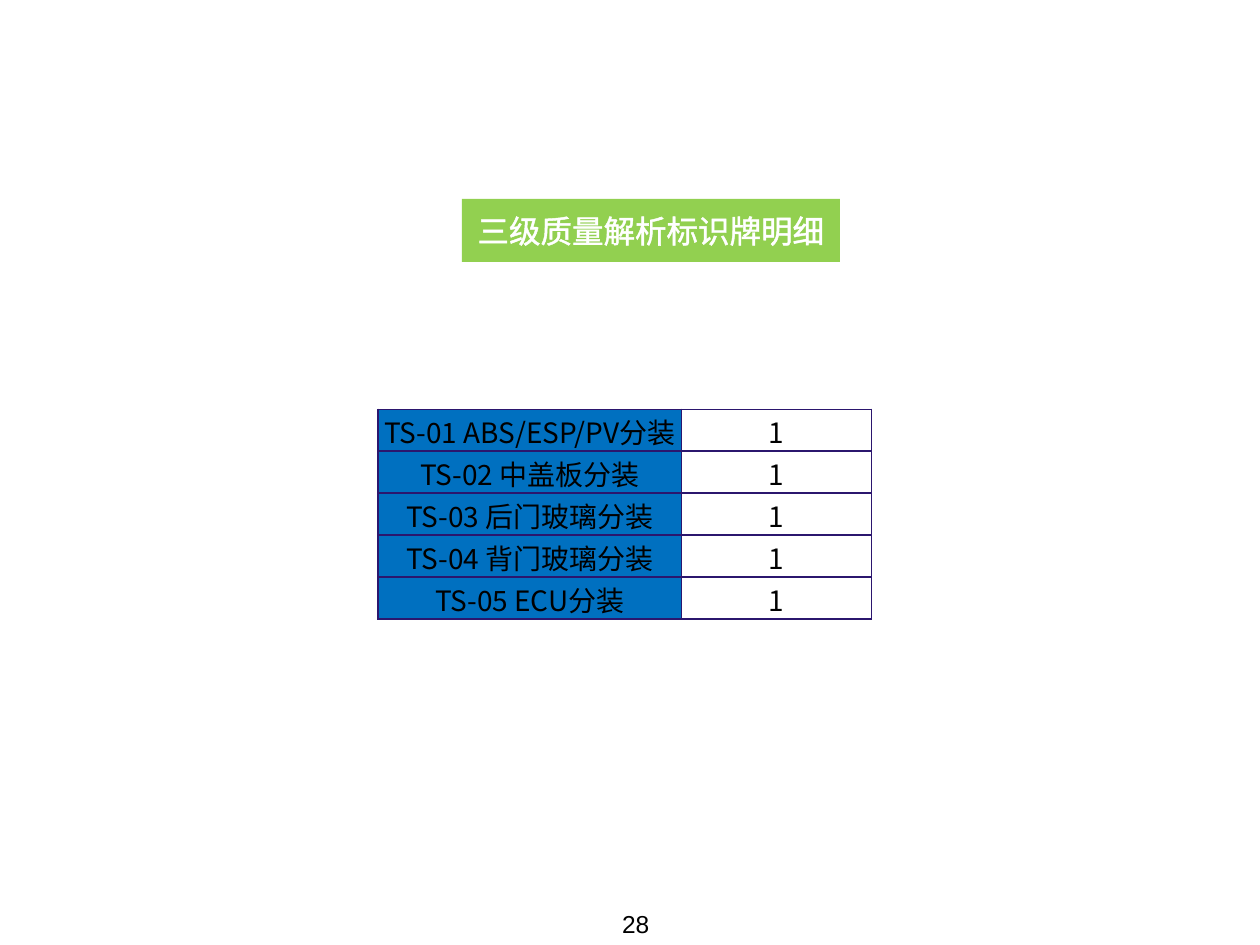
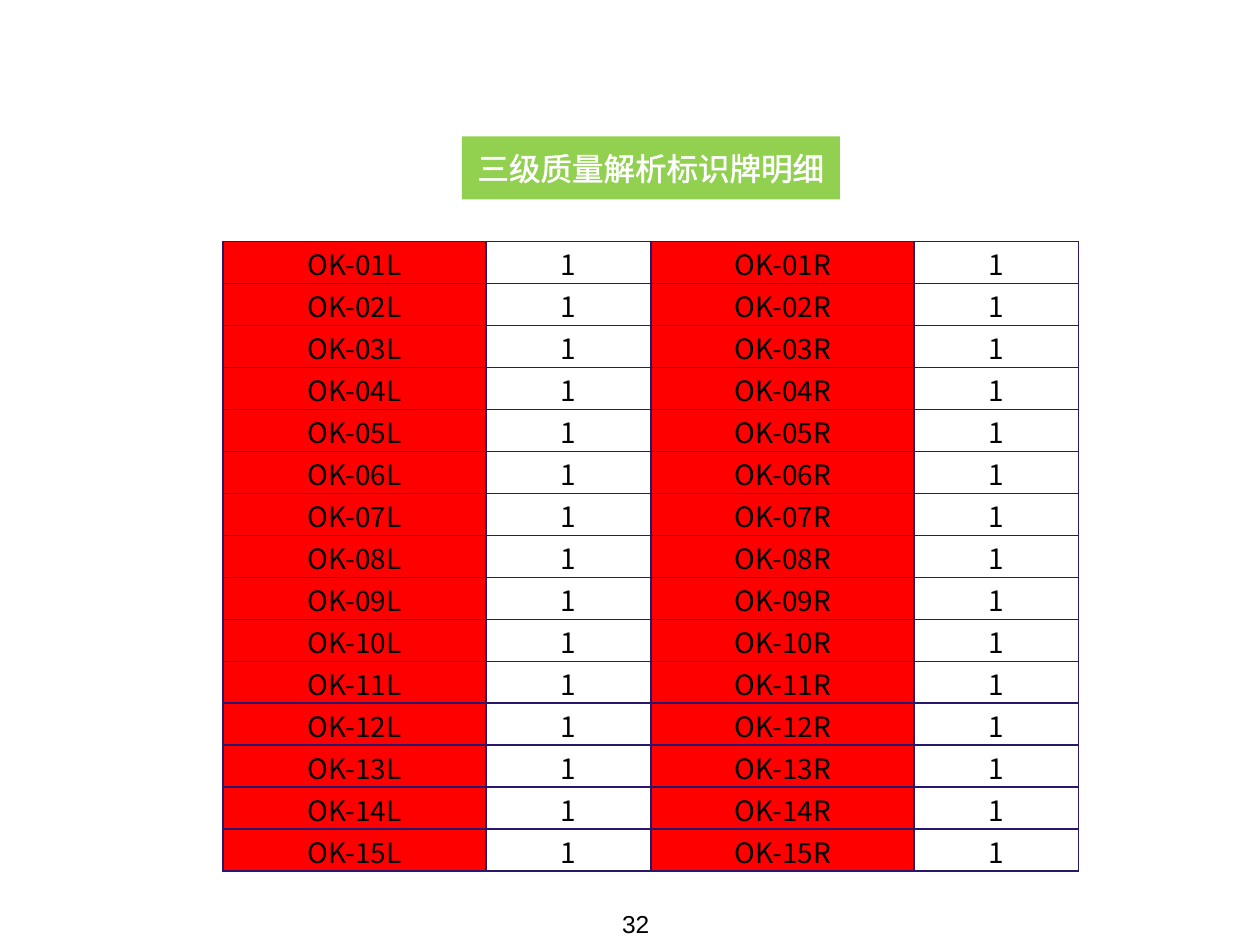
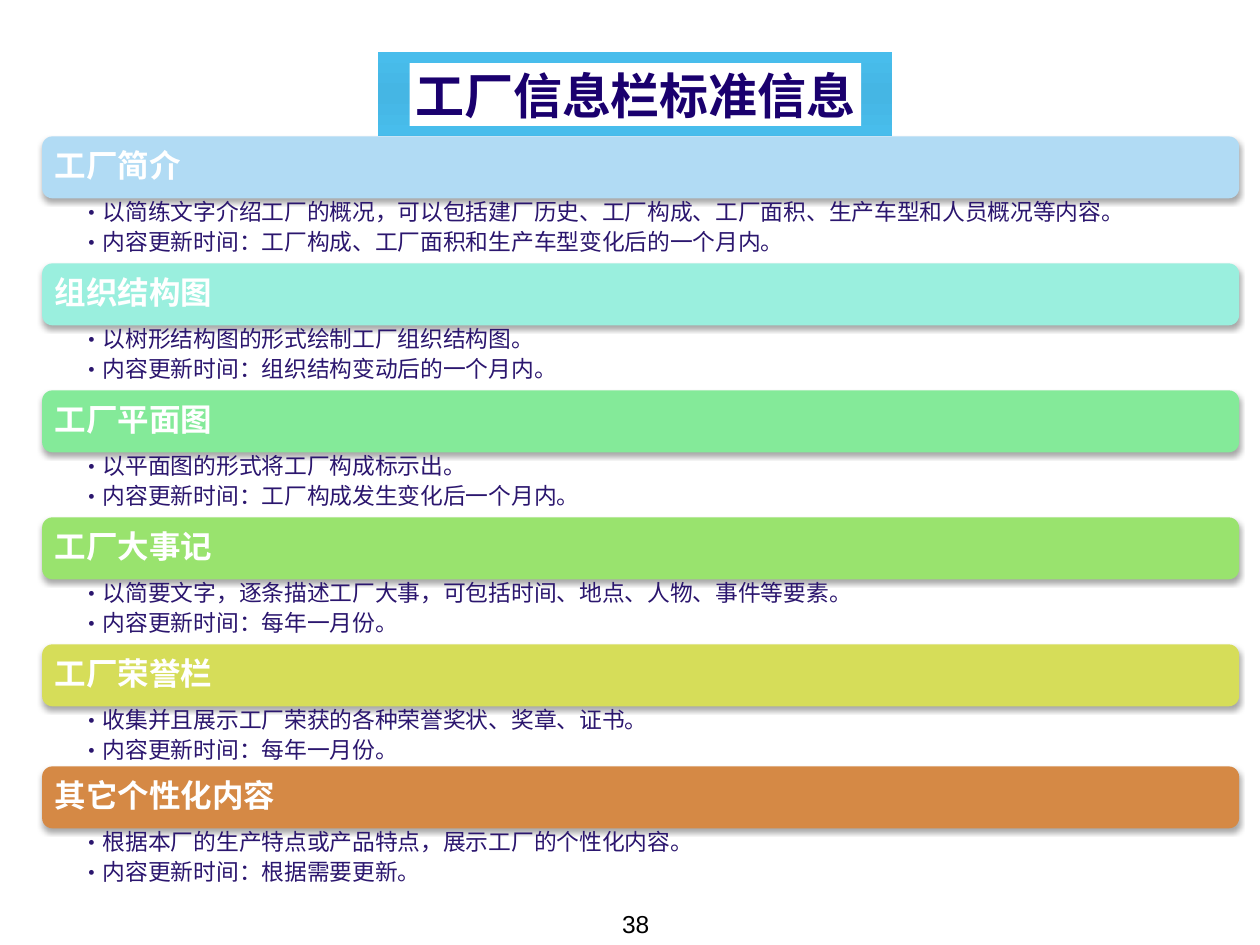
from lxml.etree import SubElement
from pptx import Presentation
from pptx.dml.color import RGBColor
from pptx.enum.shapes import MSO_SHAPE
from pptx.enum.text import MSO_ANCHOR, MSO_AUTO_SIZE, PP_ALIGN
from pptx.oxml import parse_xml
from pptx.oxml.ns import nsdecls, qn
from pptx.util import Cm, Pt

HUES = {
    "white": "FFFFFF", "black": "000000", "navy": "2B166E", "ink": "1A006E",
    "edge": "17074A", "green": "92D050", "blue": "0070C0", "red": "FF0000",
    "sky": "48BDEC", "deep": "45B6E4", "pale": "B1DBF4", "mint": "9AEFDE",
    "leaf": "84EA99", "lime": "99E36E", "gold": "D6DD59", "rust": "D58945",
}
SANS = "Noto Sans CJK SC"
TAG = "三级质量解析标识牌明细"
TOPICS = [
    ("pale", "工厂简介",
     "以简练文字介绍工厂的概况，可以包括建厂历史、工厂构成、工厂面积、生产车型和人员概况等内容。",
     "内容更新时间：工厂构成、工厂面积和生产车型变化后的一个月内。"),
    ("mint", "组织结构图", "以树形结构图的形式绘制工厂组织结构图。",
     "内容更新时间：组织结构变动后的一个月内。"),
    ("leaf", "工厂平面图", "以平面图的形式将工厂构成标示出。",
     "内容更新时间：工厂构成发生变化后一个月内。"),
    ("lime", "工厂大事记", "以简要文字，逐条描述工厂大事，可包括时间、地点、人物、事件等要素。",
     "内容更新时间：每年一月份。"),
    ("gold", "工厂荣誉栏", "收集并且展示工厂荣获的各种荣誉奖状、奖章、证书。",
     "内容更新时间：每年一月份。"),
    ("rust", "其它个性化内容", "根据本厂的生产特点或产品特点，展示工厂的个性化内容。",
     "内容更新时间：根据需要更新。"),
]


def hue(name):
    return RGBColor.from_string(HUES[name])


def style(par, size, tint, face=SANS, bold=False, align=PP_ALIGN.LEFT):
    font = par.font
    font.size, font.bold, font.name = Pt(size), bold, face
    font.color.rgb = hue(tint)
    par.alignment = align
    props = par._p.get_or_add_pPr().find(qn("a:defRPr"))
    SubElement(props, qn("a:ea"), typeface=SANS)


def inset(frame, left, top, right, low):
    frame.margin_left, frame.margin_top = Cm(left), Cm(top)
    frame.margin_right, frame.margin_bottom = Cm(right), Cm(low)


def outline(par, tint, width):
    line = parse_xml(
        f'<a:ln {nsdecls("a")} w="{Pt(width)}"><a:solidFill>'
        f'<a:srgbClr val="{HUES[tint]}"/></a:solidFill></a:ln>')
    par._p.pPr.find(qn("a:defRPr")).insert(0, line)


def title(slide, text, box, fill, size, tint, edge, width, bold=False):
    shape = slide.shapes.title
    slide.shapes._spTree.append(shape._element)
    shape.left, shape.top, shape.width, shape.height = map(Cm, box)
    shape.fill.solid()
    shape.fill.fore_color.rgb = hue(fill)
    frame = shape.text_frame
    frame.text = text
    frame.word_wrap = False
    frame.auto_size = MSO_AUTO_SIZE.NONE
    frame.vertical_anchor = MSO_ANCHOR.MIDDLE
    inset(frame, 0, 0, 0, 0)
    par = frame.paragraphs[0]
    style(par, size, tint, "Arial", bold, PP_ALIGN.CENTER)
    outline(par, edge, width)


def tag(slide, top):
    title(slide, TAG, (9.31, top, 7.62, 1.27), "green", 18, "white", "white", 1.45)


def page(deck, number):
    slide = deck.slides.add_slide(deck.slide_layouts[5])
    box = slide.shapes.add_textbox(Cm(7.41), Cm(18.2), Cm(5.93), Cm(1.32))
    frame = box.text_frame
    frame.word_wrap = True
    frame.text = str(number)
    style(frame.paragraphs[0], 14, "black", "Arial", align=PP_ALIGN.RIGHT)
    return slide


def border(cell):
    props = cell._tc.get_or_add_tcPr()
    for i, side in enumerate(("lnL", "lnR", "lnT", "lnB")):
        props.insert(i, parse_xml(
            f'<a:{side} {nsdecls("a")} w="{Pt(1)}"><a:solidFill>'
            f'<a:srgbClr val="{HUES["navy"]}"/></a:solidFill></a:{side}>'))


def tally(slide, labels, left, top, widths, tint):
    high = Cm(12.7) // 15
    table = slide.shapes.add_table(
        len(labels), 2, Cm(left), Cm(top), Cm(sum(widths)), high * len(labels)).table
    table.first_row = table.horz_banding = False
    for col, width in zip(table.columns, widths):
        col.width = Cm(width)
    for row, label in zip(table.rows, labels):
        row.height = high
        for cell, text in zip(row.cells, (label, "1")):
            cell.text = text
            cell.vertical_anchor = MSO_ANCHOR.MIDDLE
            inset(cell, 0.03, 0.03, 0.03, 0)
            style(cell.text_frame.paragraphs[0], 16, "black", align=PP_ALIGN.CENTER)
            cell.fill.background()
        name = row.cells[0]
        name.fill.solid()
        name.fill.fore_color.rgb = hue(tint)
        for cell in row.cells:
            border(cell)


def plate(slide):
    shape = slide.shapes.add_shape(
        MSO_SHAPE.RECTANGLE, Cm(7.62), Cm(1.05), Cm(10.37), Cm(1.69))
    shape.shadow.inherit = False
    shape.line.fill.background()
    shape.fill.gradient()
    stops = shape.fill._fill._gradFill.find(qn("a:gsLst"))
    for stop in list(stops):
        stops.remove(stop)
    for place, tint in ((0, "sky"), (50, "deep"), (100, "sky")):
        stop = SubElement(stops, qn("a:gs"), pos=str(place * 1000))
        SubElement(stop, qn("a:srgbClr"), val=HUES[tint])
    shape.fill.gradient_angle = 270


def shade(shape):
    shape.shadow.inherit = False
    glow = shape._element.spPr.find(qn("a:effectLst"))
    drop = SubElement(glow, qn("a:outerShdw"), blurRad=str(Pt(3.1)),
                      dist=str(Pt(1.8)), dir="5400000", rotWithShape="0")
    color = SubElement(drop, qn("a:srgbClr"), val=HUES["black"])
    SubElement(color, qn("a:alpha"), val="35000")


def bar(slide, text, top, tint):
    shape = slide.shapes.add_shape(
        MSO_SHAPE.ROUNDED_RECTANGLE, Cm(0.85), Cm(top), Cm(24.13), Cm(1.25))
    shape.fill.solid()
    shape.fill.fore_color.rgb = hue(tint)
    shape.line.fill.background()
    shade(shape)
    frame = shape.text_frame
    frame.text = text
    frame.vertical_anchor = MSO_ANCHOR.MIDDLE
    inset(frame, 0.19, 0.18, 0.19, 0.18)
    par = frame.paragraphs[0]
    style(par, 18, "white", bold=True)
    par.line_spacing = 0.9


def points(slide, lines, top):
    box = slide.shapes.add_textbox(Cm(0.85), Cm(top), Cm(24.13), Cm(1.28))
    frame = box.text_frame
    frame.word_wrap = True
    inset(frame, 0.77, 0.04, 0.25, 0.04)
    frame.text = "\n".join(lines)
    for par in frame.paragraphs:
        style(par, 13, "navy")
        par.line_spacing = 0.9
        par.space_after = Pt(2.8)
        props = par._p.pPr
        props.set("marL", str(Cm(0.32)))
        props.set("indent", str(Cm(-0.32)))
        face = parse_xml(f'<a:buFont {nsdecls("a")} typeface="{SANS}"/>')
        mark = parse_xml(f'<a:buChar {nsdecls("a")} char="•"/>')
        for part in (face, mark):
            props.find(qn("a:defRPr")).addprevious(part)


def main():
    deck = Presentation()
    deck.slide_width, deck.slide_height = Cm(25.4), Cm(19.05)

    parts = page(deck, 28)
    names = ["ABS/ESP/PV分装", "中盖板分装", "后门玻璃分装", "背门玻璃分装", "ECU分装"]
    labels = [f"TS-{i:02} {name}" for i, name in enumerate(names, 1)]
    tally(parts, labels, 7.62, 8.25, (6.12, 3.83), "blue")
    tag(parts, 4.01)

    sides = page(deck, 32)
    for side, left in (("L", 4.5), ("R", 13.13)):
        labels = [f"OK-{i:02}{side}" for i in range(1, 16)]
        tally(sides, labels, left, 4.87, (5.3, 3.31), "red")
    tag(sides, 2.75)

    board = page(deck, 38)
    plate(board)
    title(board, "工厂信息栏标准信息", (8.26, 1.27, 9.1, 1.27),
          "white", 28, "ink", "edge", 0.71, True)
    for i, (tint, head, *lines) in enumerate(TOPICS):
        top = min(2.75 + 2.56 * i, 15.45)
        bar(board, head, top, tint)
        points(board, lines, top + 1.26)

    deck.save("out.pptx")


if __name__ == "__main__":
    main()
